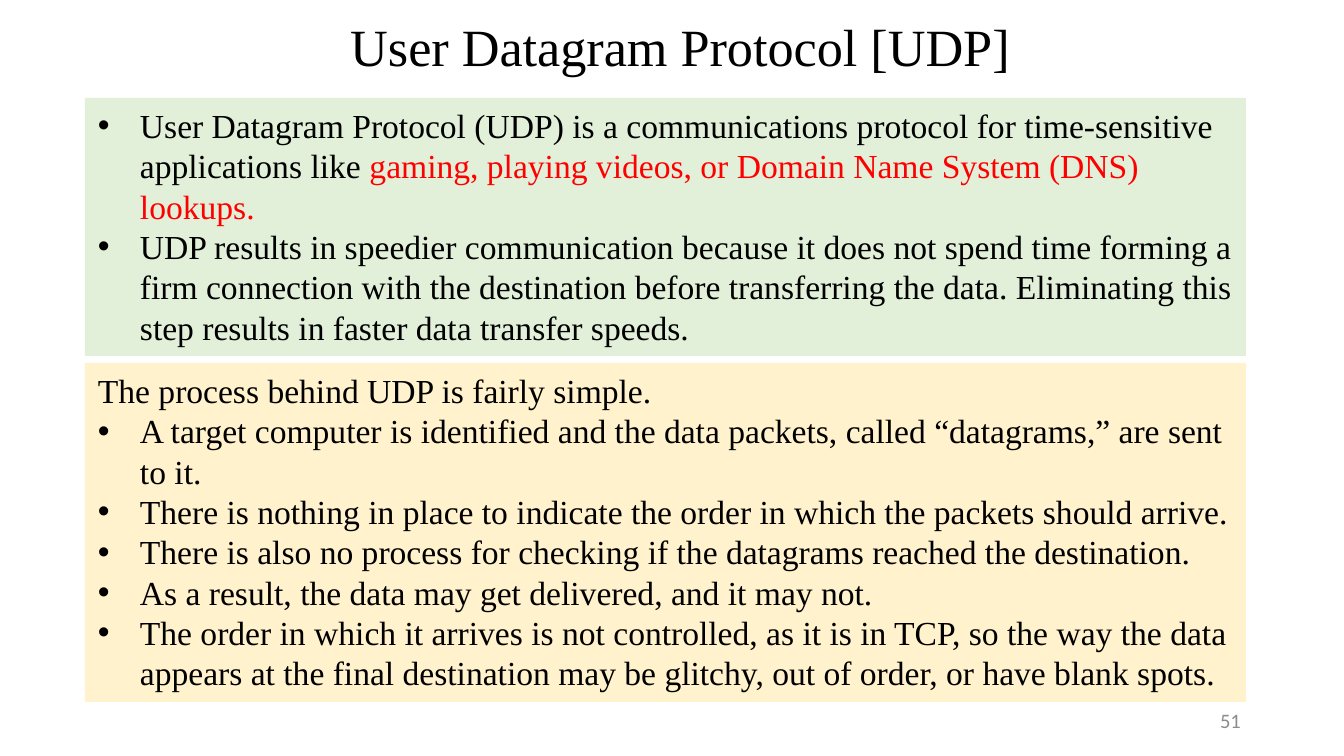
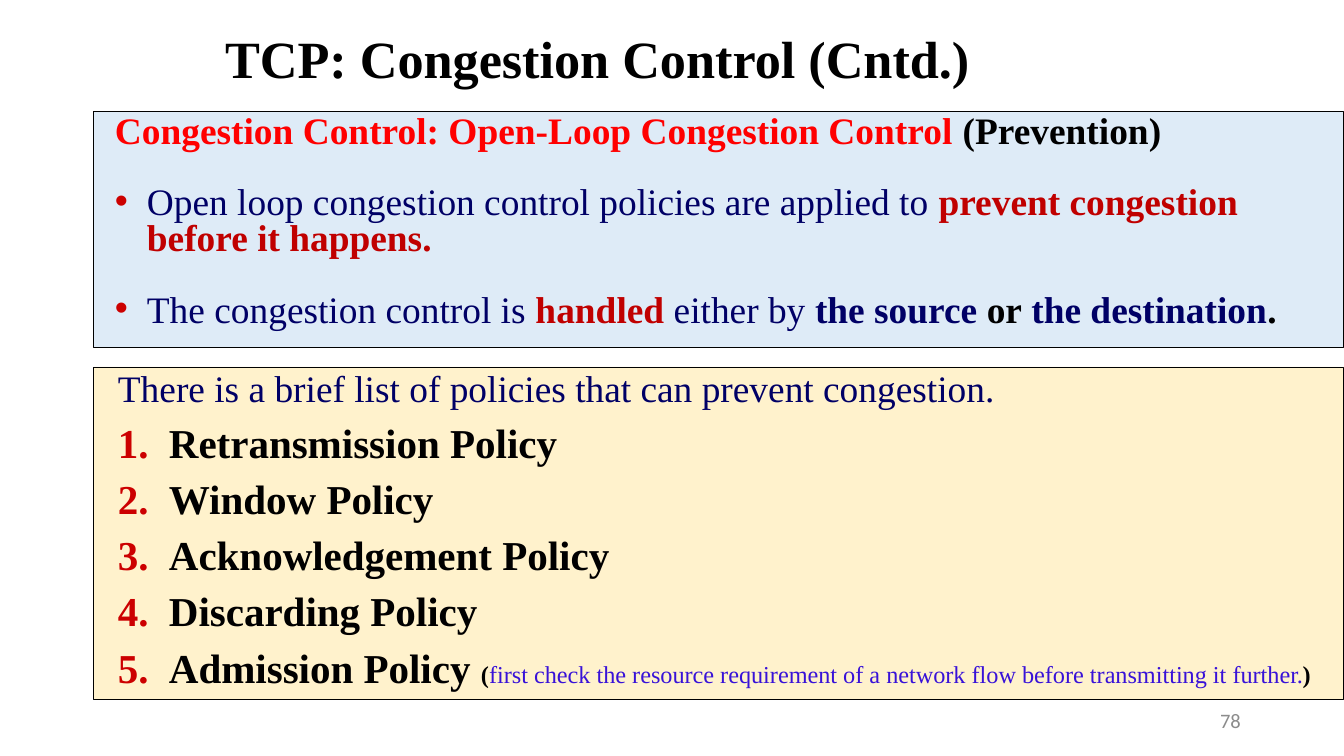
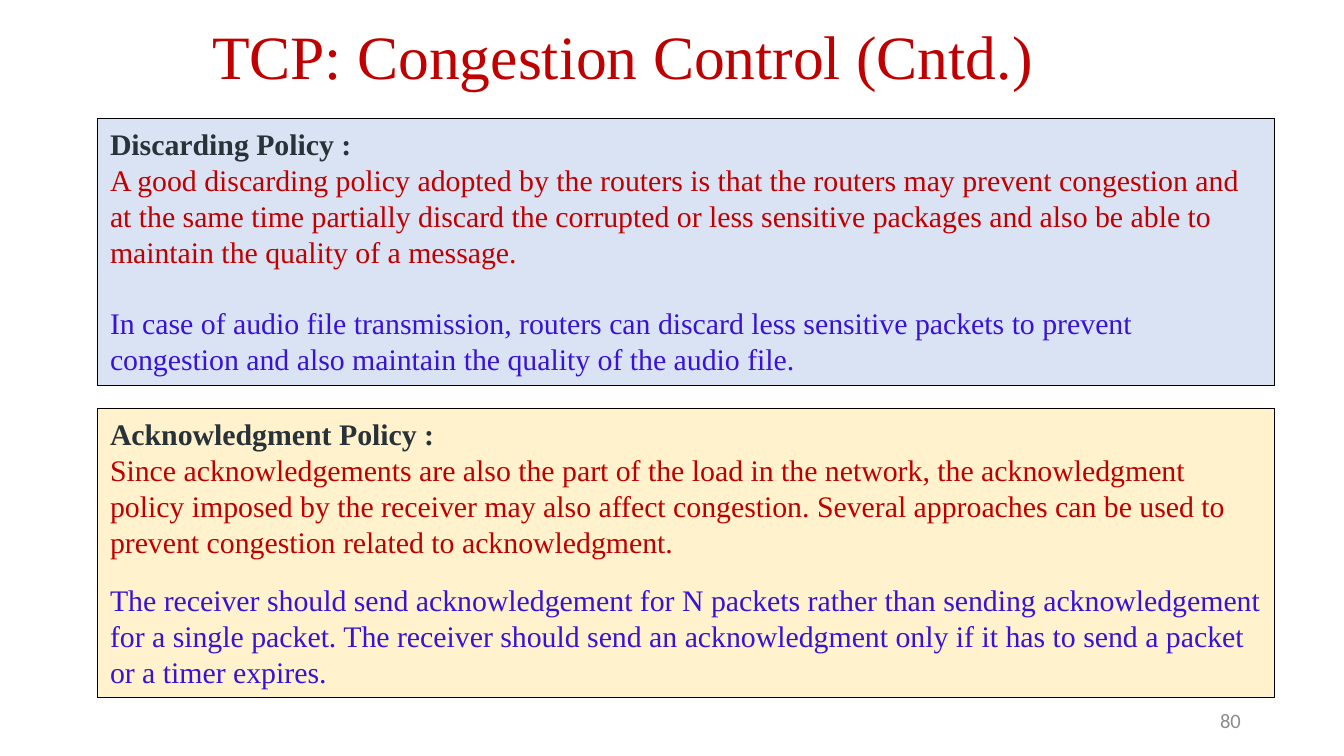
from lxml.etree import SubElement
from pptx import Presentation
from pptx.dml.color import RGBColor
from pptx.enum.shapes import MSO_SHAPE as Shape
from pptx.enum.text import MSO_ANCHOR as Anchor, MSO_AUTO_SIZE as AutoSize, PP_ALIGN as Align
from pptx.oxml.ns import qn
from pptx.util import Emu, Pt

# Shared look
PX = 914400 / 134.4
BLACK = RGBColor(0x00, 0x00, 0x00)
RED = RGBColor(0xFF, 0x00, 0x00)
CRIMSON = RGBColor(0xC0, 0x00, 0x00)
MARKER_RED = RGBColor(0xCC, 0x00, 0x00)
NAVY = RGBColor(0x00, 0x00, 0x66)
VIOLET = RGBColor(0x38, 0x12, 0xD8)
SLATE = RGBColor(0x27, 0x32, 0x39)
GREY = RGBColor(0x8C, 0x8C, 0x8C)
GREEN_PANEL = RGBColor(0xE2, 0xF0, 0xD9)
CREAM_PANEL = RGBColor(0xFF, 0xF2, 0xCC)
SKY_PANEL = RGBColor(0xDE, 0xEB, 0xF7)
BLUE_PANEL = RGBColor(0xDA, 0xE3, 0xF3)
SERIF, SANS = "Times New Roman", "Calibri"
TIGHT, ROOMY = (10, 5), (13, 7)
PAGE_NUMBER_AREA = (949, 700, 302, 40)

# Paragraph styles: indents in px, spacing in points
PLAIN = {}
DOT = dict(margin=42, hang=42, marker="•", marker_color=BLACK)
LEAD = dict(margin=11, spacing=0.8)
SPACED_DOT = dict(margin=43, hang=32, spacing=0.8, before=19, marker="•", marker_color=MARKER_RED)
NUMBERED = dict(margin=62, hang=51, spacing=0.8, before=9, marker="1.", marker_color=MARKER_RED)

# Run styles
NAVY_TEXT = dict(color=NAVY)
NAVY_BOLD = dict(color=NAVY, bold=True)
BLACK_BOLD = dict(bold=True)
CRIMSON_TEXT = dict(color=CRIMSON)
CRIMSON_BOLD = dict(color=CRIMSON, bold=True)
VIOLET_TEXT = dict(color=VIOLET)
HEADING = dict(color=SLATE, bold=True)
POLICY = dict(size=22, bold=True)
ASIDE = dict(size=13, bold=True)

# Content: each paragraph is (style, runs), each run is text or (text, style)
SLIDES = [
    dict(
        number="51",
        title="User Datagram Protocol [UDP]",
        title_area=(109, 7, 1142, 86),
        title_style=dict(size=28, align=Align.CENTER),
        left=85, width=1161, size=18, outlined=False,
        panels=[
            dict(top=98, height=258, fill=GREEN_PANEL, paragraphs=[
                (DOT, ["User Datagram Protocol (UDP) is a communications protocol for "
                       "time-sensitive applications like ",
                       ("gaming, playing videos, or Domain Name System (DNS) lookups.",
                        dict(color=RED))]),
                (DOT, ["UDP results in speedier communication because it does not spend time "
                       "forming a firm connection with the destination before transferring the "
                       "data. Eliminating this step results in faster data transfer speeds."]),
            ]),
            dict(top=363, height=339, fill=CREAM_PANEL, paragraphs=[
                (PLAIN, ["The process behind UDP is fairly simple."]),
                (DOT, ["A target computer is identified and the data packets, called "
                       "“datagrams,” are sent to it."]),
                (DOT, ["There is nothing in place to indicate the order in which the packets "
                       "should arrive."]),
                (DOT, ["There is also no process for checking if the datagrams reached the "
                       "destination."]),
                (DOT, ["As a result, the data may get delivered, and it may not."]),
                (DOT, ["The order in which it arrives is not controlled, as it is in TCP, so "
                       "the way the data appears at the final destination may be glitchy, out "
                       "of order, or have blank spots."]),
            ]),
        ],
    ),
    dict(
        number="78",
        title="TCP: Congestion Control (Cntd.)",
        title_area=(202, -1, 1142, 126),
        title_style=dict(size=28, bold=True, margin=13),
        left=94, width=1250, size=20, outlined=True,
        panels=[
            dict(top=111, height=237, fill=SKY_PANEL, inset=TIGHT, paragraphs=[
                (LEAD, [("Congestion Control: Open-Loop Congestion Control ",
                         dict(color=RED, bold=True)),
                        ("(Prevention)", BLACK_BOLD)]),
                (SPACED_DOT, [("Open loop congestion control policies are applied to ", NAVY_TEXT),
                              ("prevent congestion before it happens.", CRIMSON_BOLD)]),
                (SPACED_DOT, [("The congestion control is ", NAVY_TEXT),
                              ("handled", CRIMSON_BOLD),
                              (" either by ", NAVY_TEXT),
                              ("the source ", NAVY_BOLD),
                              ("or", BLACK_BOLD),
                              (" the destination", NAVY_BOLD),
                              (".", BLACK_BOLD)]),
            ]),
            dict(top=367, height=333, fill=CREAM_PANEL, paragraphs=[
                (LEAD, [("There is a brief list of policies that can prevent congestion.",
                         NAVY_TEXT)]),
                (NUMBERED, [("Retransmission Policy", POLICY)]),
                (NUMBERED, [("Window Policy", POLICY)]),
                (NUMBERED, [("Acknowledgement Policy", POLICY)]),
                (NUMBERED, [("Discarding Policy", POLICY)]),
                (NUMBERED, [("Admission Policy ", POLICY),
                            ("(", ASIDE),
                            ("first check the resource requirement of a network flow before "
                             "transmitting it further.", dict(size=13, color=VIOLET)),
                            (")", ASIDE)]),
            ]),
        ],
    ),
    dict(
        number="80",
        title="TCP: Congestion Control (Cntd.)",
        title_area=(202, 23, 1142, 73),
        title_style=dict(size=33, color=CRIMSON),
        left=97, width=1178, size=16, outlined=True,
        panels=[
            dict(top=119, height=267, fill=BLUE_PANEL, paragraphs=[
                (PLAIN, [("Discarding Policy :\n", HEADING),
                         ("A good discarding policy adopted by the routers is that the routers "
                          "may prevent congestion and at the same time partially discard the "
                          "corrupted or less sensitive packages and also be able to maintain the "
                          "quality of a message.", CRIMSON_TEXT)]),
                (dict(before=19),
                 [("In case of audio file transmission, routers can discard less sensitive "
                   "packets to prevent congestion and also maintain the quality of the audio "
                   "file.", VIOLET_TEXT)]),
            ]),
            dict(top=409, height=289, fill=CREAM_PANEL, paragraphs=[
                (PLAIN, [("Acknowledgment Policy :\n", HEADING),
                         ("Since acknowledgements are also the part of the load in the network, "
                          "the acknowledgment policy imposed by the receiver may also affect "
                          "congestion. Several approaches can be used to prevent congestion "
                          "related to acknowledgment.", CRIMSON_TEXT)]),
                (dict(before=12),
                 [("The receiver should send acknowledgement for N packets rather than sending "
                   "acknowledgement for a single packet. The receiver should send an "
                   "acknowledgment only if it has to send a packet or a timer expires.",
                   VIOLET_TEXT)]),
            ]),
        ],
    ),
]


def px(length):
    return Emu(round(length * PX))


def area(left, top, width, height):
    return [px(length) for length in (left, top, width, height)]


def set_frame(frame, inset, anchor):
    frame.word_wrap = True
    frame.auto_size = AutoSize.NONE
    frame.vertical_anchor = anchor
    frame.margin_left = frame.margin_right = px(inset[0])
    frame.margin_top = frame.margin_bottom = px(inset[1])


def add_marker(properties, marker, color):
    SubElement(SubElement(properties, qn("a:buClr")), qn("a:srgbClr"), val=str(color))
    if marker == "1.":
        SubElement(properties, qn("a:buAutoNum"), type="arabicPeriod")
    else:
        SubElement(properties, qn("a:buFont"), typeface="Arial")
        SubElement(properties, qn("a:buChar"), char=marker)


def write_run(paragraph, text, size, color=BLACK, bold=False, font=SERIF):
    for index, line in enumerate(text.split("\n")):
        if index:
            paragraph.add_line_break()
            SubElement(paragraph._p[-1], qn("a:rPr"), sz=str(size * 100))
        if line:
            run = paragraph.add_run()
            run.text = line
            run.font.name, run.font.size, run.font.bold = font, Pt(size), bold
            run.font.color.rgb = color


def write(paragraph, runs, size, align=Align.LEFT, margin=0, hang=0, spacing=None, before=0,
          marker=None, marker_color=BLACK, **run_style):
    """Fill one paragraph; runs may override the shared run style."""
    properties = paragraph._p.get_or_add_pPr()
    properties.set("marL", str(px(margin)))
    properties.set("indent", str(px(-hang)))
    if marker:
        add_marker(properties, marker, marker_color)
    paragraph.alignment = align
    paragraph.space_before = Pt(before)
    if spacing:
        paragraph.line_spacing = spacing
    for run in runs:
        text, own_style = (run, {}) if isinstance(run, str) else run
        write_run(paragraph, text, **{"size": size, **run_style, **own_style})


def add_panel(slide, content, panel):
    box = slide.shapes.add_shape(
        Shape.RECTANGLE, *area(content["left"], panel["top"], content["width"], panel["height"]))
    box.shadow.inherit = False
    box.fill.solid()
    box.fill.fore_color.rgb = panel["fill"]
    if content["outlined"]:
        box.line.color.rgb = BLACK
        box.line.width = Pt(0.5)
    else:
        box.line.fill.background()
    frame = box.text_frame
    set_frame(frame, panel.get("inset", ROOMY), Anchor.TOP)
    for index, (style, runs) in enumerate(panel["paragraphs"]):
        paragraph = frame.add_paragraph() if index else frame.paragraphs[0]
        write(paragraph, runs, content["size"], **style)


def add_slide(deck, content):
    slide = deck.slides.add_slide(deck.slide_layouts[5])

    # Page number
    page_number = slide.shapes.add_textbox(*area(*PAGE_NUMBER_AREA)).text_frame
    set_frame(page_number, TIGHT, Anchor.MIDDLE)
    write(page_number.paragraphs[0], [content["number"]], 11, align=Align.RIGHT,
          font=SANS, color=GREY)

    # Title
    title = slide.shapes.title
    title.left, title.top, title.width, title.height = area(*content["title_area"])
    set_frame(title.text_frame, TIGHT, Anchor.MIDDLE)
    write(title.text_frame.paragraphs[0], [content["title"]], spacing=0.9,
          **content["title_style"])

    # Panels
    for panel in content["panels"]:
        add_panel(slide, content, panel)


def main():
    deck = Presentation()
    deck.slide_width, deck.slide_height = px(1344), px(756)
    for content in SLIDES:
        add_slide(deck, content)
    deck.save("out.pptx")


if __name__ == "__main__":
    main()
